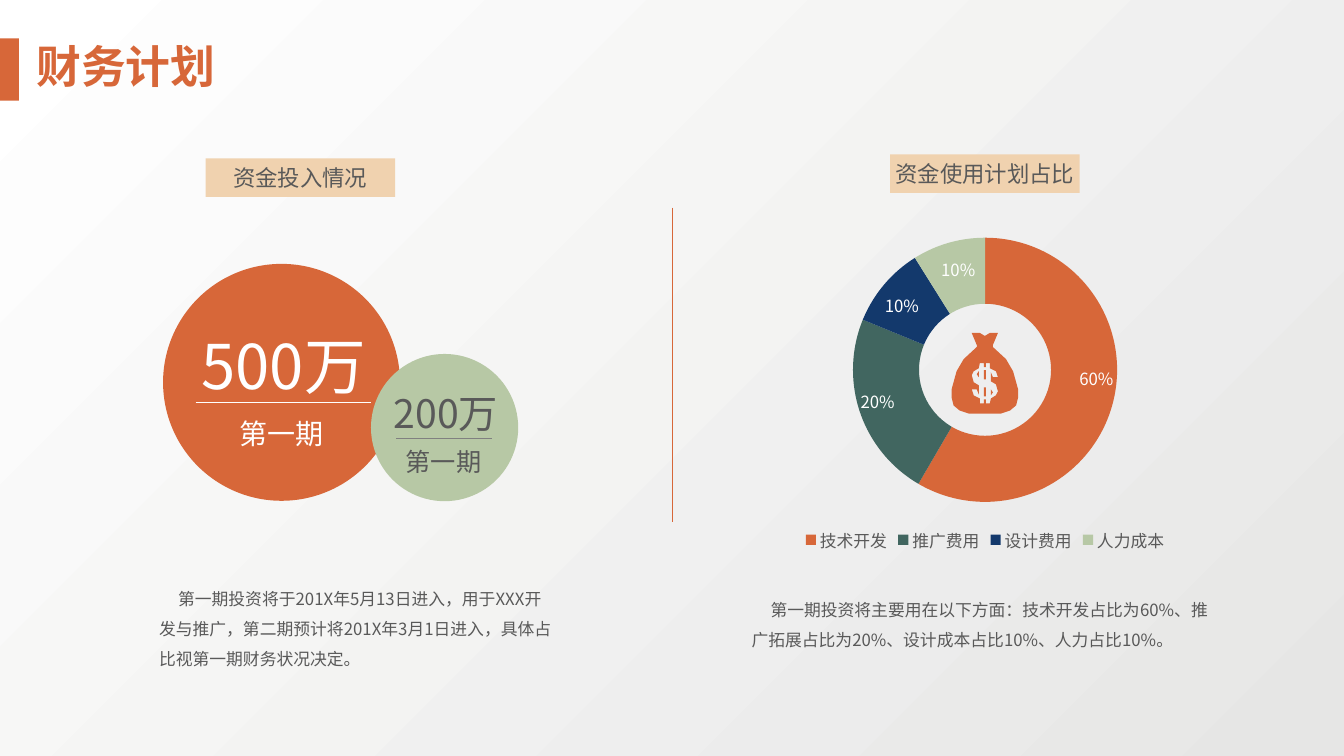
from lxml.etree import SubElement
from pptx import Presentation
from pptx.chart.data import CategoryChartData
from pptx.dml.color import RGBColor
from pptx.enum.chart import XL_CHART_TYPE as Chart, XL_LEGEND_POSITION as Legend
from pptx.enum.shapes import MSO_CONNECTOR as Link, MSO_SHAPE as Shape
from pptx.enum.text import MSO_ANCHOR as Anchor, MSO_AUTO_SIZE as Auto, PP_ALIGN as Align
from pptx.oxml.ns import qn
from pptx.util import Cm, Pt

FONT = "Noto Sans CJK SC"
ORANGE = RGBColor(0xD7, 0x67, 0x39)
TEAL = RGBColor(0x41, 0x66, 0x60)
NAVY = RGBColor(0x13, 0x39, 0x6C)
GREEN = RGBColor(0xB7, 0xC8, 0xA5)
SAND = RGBColor(0xF0, 0xD2, 0xAF)
TEXT = RGBColor(0x59, 0x59, 0x59)
GREY = RGBColor(0x80, 0x80, 0x80)
PALE = RGBColor(0xE6, 0xE6, 0xE5)
WHITE = RGBColor(0xFF, 0xFF, 0xFF)

TITLE = "财务计划"
# Lengths are in centimetres; boxes are left, top, width, height.
TAGS = [("资金投入情况", 5.18, 3.99), ("资金使用计划占比", 22.43, 3.89)]
DISCS = [(4.11, 6.65, 5.97, ORANGE), (9.35, 8.92, 3.71, GREEN)]
SUMS = [
    ("第一期", (5.18, 10.36, 3.81, 1.12), 20, WHITE),
    ("第一期", (9.27, 11.13, 3.81, 1.02), 18, TEXT),
    ("500万", (4.42, 8.13, 5.46, 2.13), 44, WHITE),
    ("200万", (8.51, 9.68, 5.46, 1.45), 28, TEXT),
]
RULES = [
    ((16.94, 5.23), (16.94, 13.16), ORANGE),
    ((4.93, 10.13), (9.35, 10.13), WHITE),
    ((9.98, 11.05), (12.4, 11.05), GREY),
]
COSTS = [("技术开发", 59, ORANGE), ("推广费用", 23, TEAL),
         ("设计费用", 10, NAVY), ("人力成本", 9, GREEN)]
SHARES = [("60%", 26.95, 9.17), ("10%", 22.05, 7.32),
          ("10%", 23.47, 6.43), ("20%", 21.44, 9.75)]
NOTES = [
    ("第一期投资将于201X年5月13日进入，用于XXX开发与推广，第二期预计将201X年3月1日进入，"
     "具体占比视第一期财务状况决定。", (3.76, 14.45, 10.44, 2.57)),
    ("第一期投资将主要用在以下方面：技术开发占比为60%、推广拓展占比为20%、设计成本占比10%、"
     "人力占比10%。", (18.69, 14.73, 12.22, 1.8)),
]

# Money bag, in steps of UNIT from its centre line and the middle of the sign.
BAG_X, BAG_Y, UNIT = 24.82, 9.66, 0.0254
SIDE = [(0, -47), (5, -50), (13, -50), (8, -38), (8, -36), (21, -24), (28, -12),
        (33, 6), (33, 14), (31, 22), (25, 27), (16, 30)]
SIGN = [(13, 8), (11, 12), (6, 15), (5, 20), (1, 20), (1, 16), (-1, 16), (-1, 20),
        (-5, 20), (-5, 15), (-11, 12), (-13, 6), (-8, 6), (-6, 11), (-6, 2), (-11, -1)]
GAPS = [[(-1, 4), (-1, 13), (1, 13), (1, 4)], [(6, 6), (6, 12), (8, 9)]]

deck = Presentation()
deck.slide_width, deck.slide_height = Cm(33.87), Cm(19.05)
slide = deck.slides.add_slide(deck.slide_layouts[5])
shapes = slide.shapes


def cms(box):
    return [Cm(v) for v in box]


def write(text, box, size=12, color=TEXT, align=Align.CENTER, bold=False,
          space=None, indent=0, holder=None):
    """Put text in a new text box, or in the given placeholder."""
    item = holder or shapes.add_textbox(*cms(box))
    item.left, item.top, item.width, item.height = cms(box)
    frame = item.text_frame
    frame.word_wrap, frame.auto_size = True, Auto.SHAPE_TO_FIT_TEXT
    frame.vertical_anchor = Anchor.TOP
    para = frame.paragraphs[0]
    para.alignment = align
    if space:
        para.line_spacing = space
    if indent:
        para._p.get_or_add_pPr().set("indent", str(Cm(indent)))
    run = para.add_run()
    run.text = text
    font = run.font
    font.size, font.bold, font.name = Pt(size), bold, FONT
    font.color.rgb = color
    SubElement(run._r.get_or_add_rPr(), qn("a:ea")).set("typeface", FONT)


def paint(item, color):
    item.shadow.inherit = False
    item.fill.solid()
    item.fill.fore_color.rgb = color
    item.line.fill.background()


def block(kind, box, color):
    paint(shapes.add_shape(kind, *cms(box)), color)


def rule(start, end, color):
    line = shapes.add_connector(Link.STRAIGHT, *cms(start + end))
    line.line.color.rgb, line.line.width = color, Pt(0.5)
    SubElement(line._element.spPr, qn("a:effectLst"))


def turn(loop):
    """Rotate a loop by half a turn."""
    return [(-x, -y) for x, y in loop]


def draw_bag():
    body = SIDE + [(-x, y) for x, y in reversed(SIDE[1:])]
    loops = [body, SIGN + turn(SIGN)] + GAPS + [turn(gap) for gap in GAPS]
    pen = None
    for loop in loops:
        pts = [(Cm(BAG_X + x * UNIT), Cm(BAG_Y + y * UNIT)) for x, y in loop]
        if pen is None:
            pen = shapes.build_freeform(*pts[0])
        else:
            pen.move_to(*pts[0])
        pen.add_line_segments(pts[1:], close=True)
    paint(pen.convert_to_shape(), ORANGE)


def draw_ring():
    data = CategoryChartData()
    data.categories = [name for name, _, _ in COSTS]
    data.add_series("Series 1", [val for _, val, _ in COSTS])
    box = cms((18.54, 5.64, 12.57, 8.38))
    chart = shapes.add_chart(Chart.DOUGHNUT, *box, data).chart
    chart.has_title, chart.has_legend = False, True
    chart.font.name, chart.font.size = "Calibri", Pt(10)
    legend = chart.legend
    legend.position, legend.include_in_layout = Legend.BOTTOM, False
    legend.font.size, legend.font.name = Pt(12), FONT
    legend.font.color.rgb = TEXT
    plot = chart.plots[0]
    plot.vary_by_categories = True
    plot._element.find(qn("c:holeSize")).set("val", "67")
    for i, (_, _, color) in enumerate(COSTS):
        point = plot.series[0].points[i].format
        point.fill.solid()
        point.fill.fore_color.rgb = color
        point.line.fill.background()


back = slide.background.fill
back.gradient()
back.gradient_angle = 135
for stop, color, place in zip(back.gradient_stops, (PALE, WHITE), (0, 1)):
    stop.color.rgb, stop.position = color, place

block(Shape.RECTANGLE, (0, 0.97, 0.48, 1.57), ORANGE)
write(TITLE, (0.05, 0.86, 6.25, 1.63), size=32, color=ORANGE, bold=True,
      holder=shapes.title)
for left, top, size, color in DISCS:
    block(Shape.OVAL, (left, top, size, size), color)
for text, left, top in TAGS:
    block(Shape.RECTANGLE, (left, top, 4.78, 0.97), SAND)
    write(text, (left - 1.05, top + 0.03, 6.88, 0.94), size=16)
for text, box, size, color in SUMS:
    write(text, box, size=size, color=color)
for ends in RULES:
    rule(*ends)
draw_ring()
for text, left, top in SHARES:
    write(text, (left, top, 2.08, 0.76), color=WHITE, align=Align.LEFT)
draw_bag()
for text, box in NOTES:
    write(text, box, align=Align.LEFT, space=1.5, indent=0.48)

deck.save("out.pptx")
